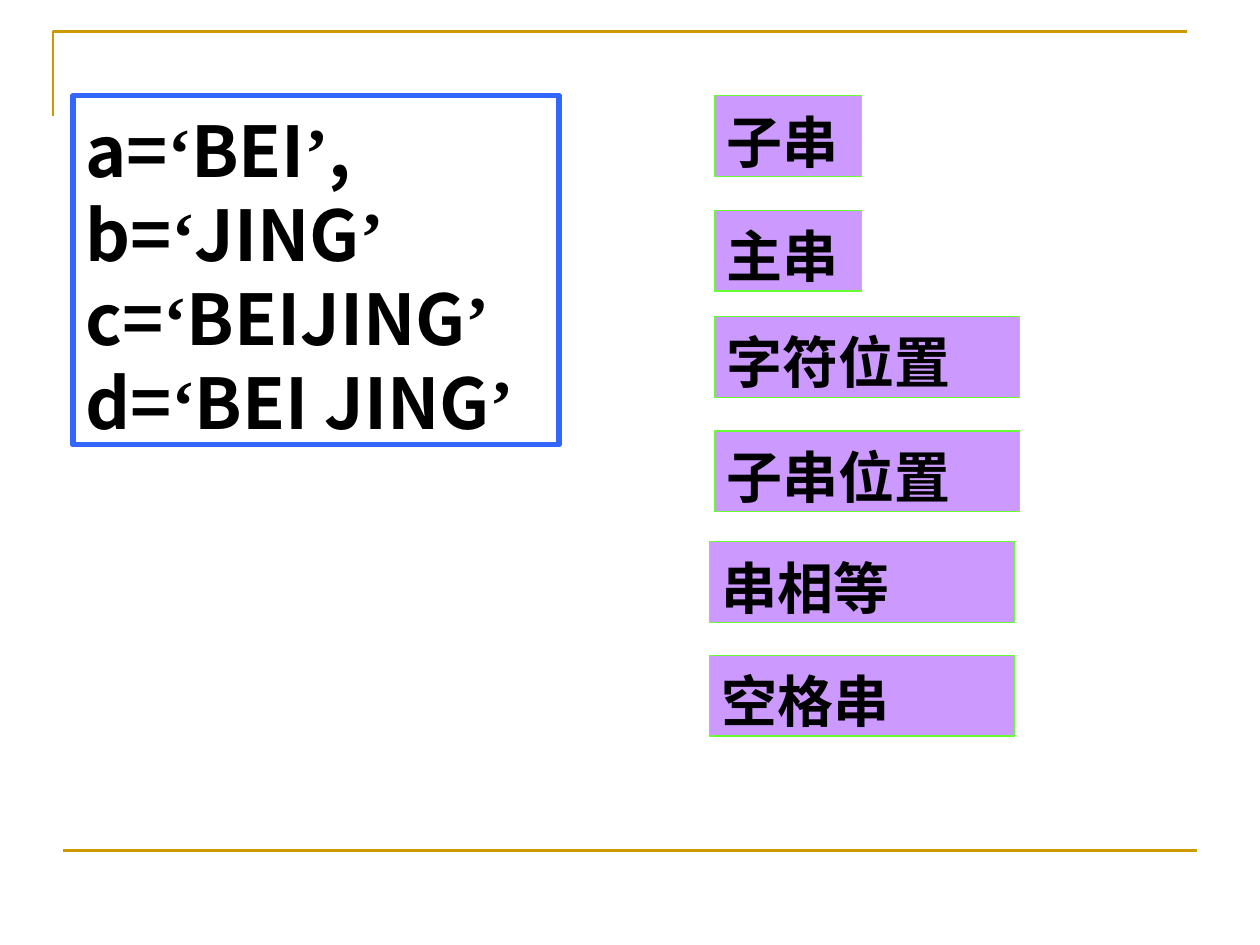
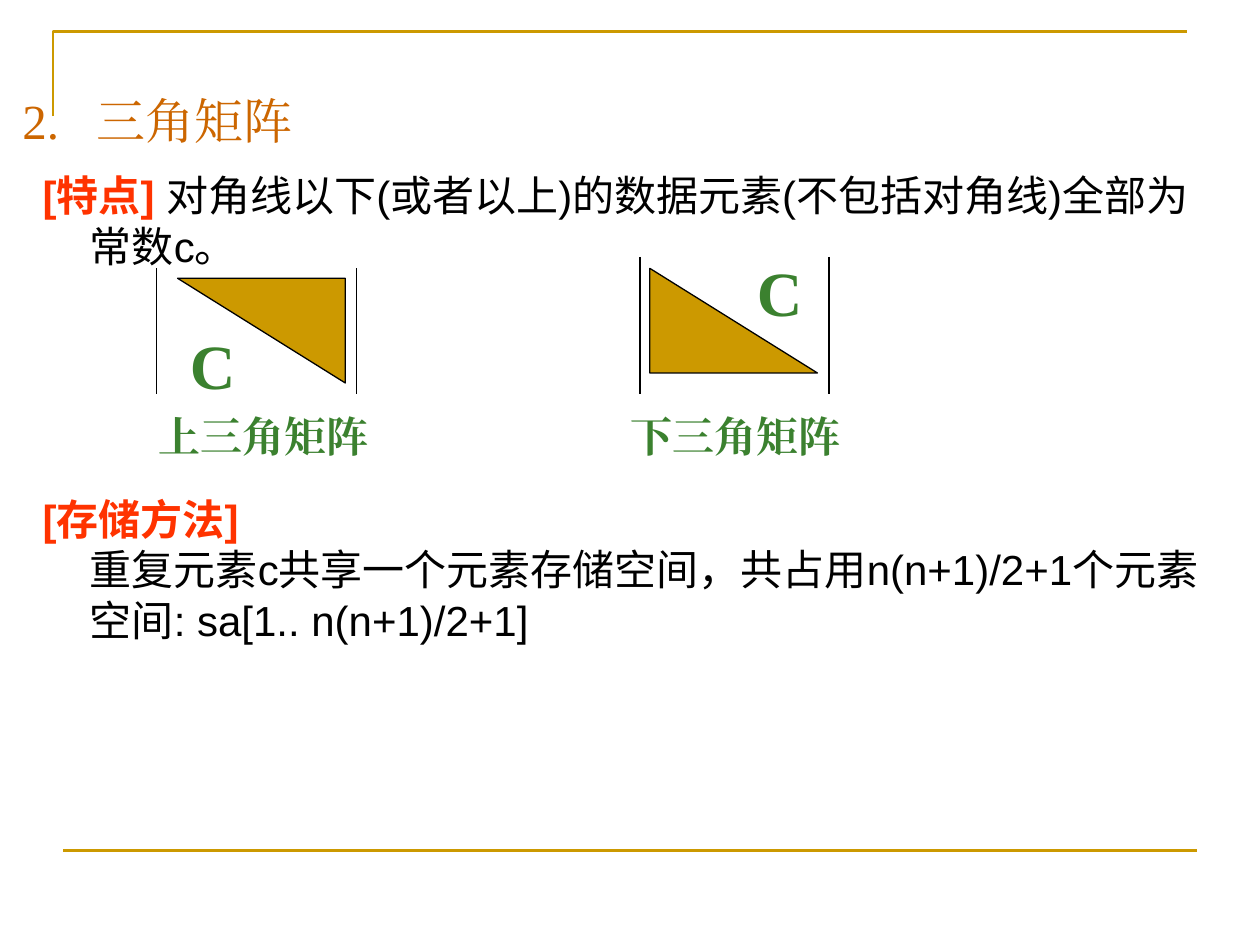
from itertools import groupby

from lxml import etree
from pptx import Presentation
from pptx import util as u
from pptx.dml.color import RGBColor
from pptx.enum import shapes, text
from pptx.oxml import ns

COLOURS = {
    "gold": "CC9900", "blue": "3366FF", "violet": "CC99FF", "lime": "66FF33",
    "black": "000000", "title": "CC6600", "red": "FF3300", "green": "3B812F",
}
SANS, SERIF, CJK = "Arial", "Times New Roman", "Noto Sans CJK SC"


def rgb(name):
    """Return a palette colour."""
    return RGBColor.from_string(COLOURS[name])


def place(*lengths):
    """Turn centimetres into lengths."""
    return [u.Cm(length) for length in lengths]


def write(para, words, font=SANS, size=24, colour="black", bold=False):
    """Add a formatted span to a paragraph."""
    span = para.add_run()
    span.text = words
    span.font.name, span.font.size, span.font.bold = font, u.Pt(size), bold
    span.font.color.rgb = rgb(colour)
    east = etree.SubElement(span.font._element, ns.qn("a:ea"))
    east.set("typeface", font)
    return span


def prepare(frame, top=0.13, wrap=True, anchor=text.MSO_ANCHOR.TOP):
    """Set the margins, wrapping and anchor of a text frame."""
    frame.auto_size = text.MSO_AUTO_SIZE.NONE
    frame.word_wrap, frame.vertical_anchor = wrap, anchor
    frame.margin_left = frame.margin_right = u.Cm(0.25)
    frame.margin_top, frame.margin_bottom = u.Cm(top), u.Cm(0.13)
    return frame


def indent(para, width, tab=False):
    """Give a paragraph a hanging indent without a bullet."""
    settings = para._p.get_or_add_pPr()
    settings.set("marL", str(u.Cm(width)))
    settings.set("indent", str(-u.Cm(width)))
    etree.SubElement(settings, ns.qn("a:buNone"))
    if tab:
        stops = etree.SubElement(settings, ns.qn("a:tabLst"))
        etree.SubElement(stops, ns.qn("a:tab"), pos=str(u.Cm(width)), algn="l")
    para.alignment = text.PP_ALIGN.LEFT


def style(shape, fill, line, width=0.75):
    """Set the fill and outline of a shape and drop its shadow."""
    shape.shadow.inherit = False
    if fill:
        shape.fill.solid()
        shape.fill.fore_color.rgb = rgb(fill)
    else:
        shape.fill.background()
    shape.line.color.rgb, shape.line.width = rgb(line), u.Pt(width)
    return shape


def add_line(page, start, end, colour="black", width=0.75):
    """Draw a straight line between two points."""
    line = page.shapes.add_connector(
        shapes.MSO_CONNECTOR.STRAIGHT, *place(*start, *end))
    line.line.color.rgb, line.line.width = rgb(colour), u.Pt(width)
    etree.SubElement(line._element.spPr, ns.qn("a:effectLst"))


def add_label(page, box, words, size):
    """Add a green label in a text box."""
    frame = page.shapes.add_textbox(*place(*box)).text_frame
    prepare(frame, wrap=False)
    write(frame.paragraphs[0], words, SERIF, size, "green", True)


def add_page(deck, layout):
    """Add a slide with the shared corner frame and bottom rule."""
    page = deck.slides.add_slide(deck.slide_layouts[layout])
    corner = page.shapes.build_freeform(*place(1.07, 2.34))
    corner.add_line_segments(
        [place(1.07, 0.64), place(23.93, 0.64)], close=False)
    style(corner.convert_to_shape(), None, "gold", 1.5)
    add_line(page, (1.27, 17.15), (24.13, 17.15), "gold", 1.5)
    return page


def add_panel(page, box, lines, size, fill, line, width=0.75):
    """Draw a rectangle with bold lines of text, quotes set in serif."""
    panel = page.shapes.add_shape(shapes.MSO_SHAPE.RECTANGLE, *place(*box))
    frame = prepare(style(panel, fill, line, width).text_frame, top=0.23)
    for number, words in enumerate(lines):
        para = frame.add_paragraph() if number else frame.paragraphs[0]
        para.alignment = text.PP_ALIGN.LEFT
        para.line_spacing = u.Pt(size * 1.2)
        for is_quote, letters in groupby(words, lambda letter: letter in "‘’"):
            write(para, "".join(letters), SERIF if is_quote else CJK, size,
                  bold=True)


def add_matrix(page, box, name, triangle, rotation, constant, label_shift):
    """Draw a triangular matrix between bars, with its constant and name."""
    left, top, width, height = box
    for x in (left, left + width):
        add_line(page, (x, top), (x, top + height))
    add_label(page, (left + constant[0], top + constant[1], 1.5, 1.78), "C", 36)
    add_label(page, (left + label_shift, top + height + 0.2, 5.4, 1.27), name, 24)
    half = page.shapes.add_shape(
        shapes.MSO_SHAPE.RIGHT_TRIANGLE,
        *place(left + triangle[0], top + triangle[1], 3.38, 2.11))
    style(half, "gold", "black").rotation = rotation


def move(holder, box):
    """Move a placeholder to a box."""
    holder.left, holder.top, holder.width, holder.height = place(*box)


def add_heading(page, box, words):
    """Fill the title placeholder with a numbered heading."""
    move(page.shapes.title, box)
    frame = prepare(page.shapes.title.text_frame, anchor=text.MSO_ANCHOR.MIDDLE)
    indent(frame.paragraphs[0], 1.49, tab=True)
    write(frame.paragraphs[0], words, SERIF, 28, "title")


def add_notes(page, box, notes):
    """Fill the body placeholder with paragraphs led by red terms."""
    body = page.placeholders[1]
    move(body, box)
    frame = prepare(body.text_frame)
    for number, (term, words) in enumerate(notes):
        para = frame.add_paragraph() if number else frame.paragraphs[0]
        indent(para, 0.95)
        para.line_spacing = u.Pt(29)
        para.space_before = u.Pt(127 if number else 0)
        write(para, f"[{term}] ", colour="red", bold=True)
        write(para, words)


def build_strings(deck):
    """Build the slide of string examples and terms."""
    page = add_page(deck, 6)
    add_panel(page, (1.47, 1.93, 9.8, 7.04),
              ["a=‘BEI’,", "b=‘JING’", "c=‘BEIJING’", "d=‘BEI JING’"],
              40, None, "blue", 3)
    terms = [
        ("子串", 14.4, 1.93, 2.97), ("主串", 14.4, 4.24, 2.97),
        ("字符位置", 14.4, 6.38, 6.15), ("子串位置", 14.4, 8.69, 6.15),
        ("串相等", 14.3, 10.92, 6.15), ("空格串", 14.3, 13.21, 6.15),
    ]
    for term, left, top, width in terms:
        add_panel(page, (left, top, width, 1.63), [term], 32, "violet", "lime")


def build_matrices(deck):
    """Build the slide of triangular matrices."""
    page = add_page(deck, 1)
    add_heading(page, (0.2, 1.57, 21.59, 1.7), "2.\t三角矩阵")
    add_notes(page, (0.61, 3.28, 23.88, 13.54), [
        ("特点", "对角线以下(或者以上)的数据元素(不包括对角线)全部为常数c。"),
        ("存储方法", "重复元素c共享一个元素存储空间，共占用"
                 "n(n+1)/2+1个元素空间: sa[1.. n(n+1)/2+1]"),
    ])
    add_matrix(page, (3.15, 5.41, 4.04, 2.54), "上三角矩阵",
               triangle=(0.43, 0.2), rotation=180,
               constant=(0.43, 1.04), label_shift=-0.2)
    add_matrix(page, (12.9, 5.18, 3.81, 2.77), "下三角矩阵",
               triangle=(0.2, 0.23), rotation=0,
               constant=(2.11, -0.2), label_shift=-0.43)


def main():
    """Build and save the deck."""
    deck = Presentation()
    deck.slide_width, deck.slide_height = place(25.4, 19.05)
    build_strings(deck)
    build_matrices(deck)
    deck.save("out.pptx")


if __name__ == "__main__":
    main()
